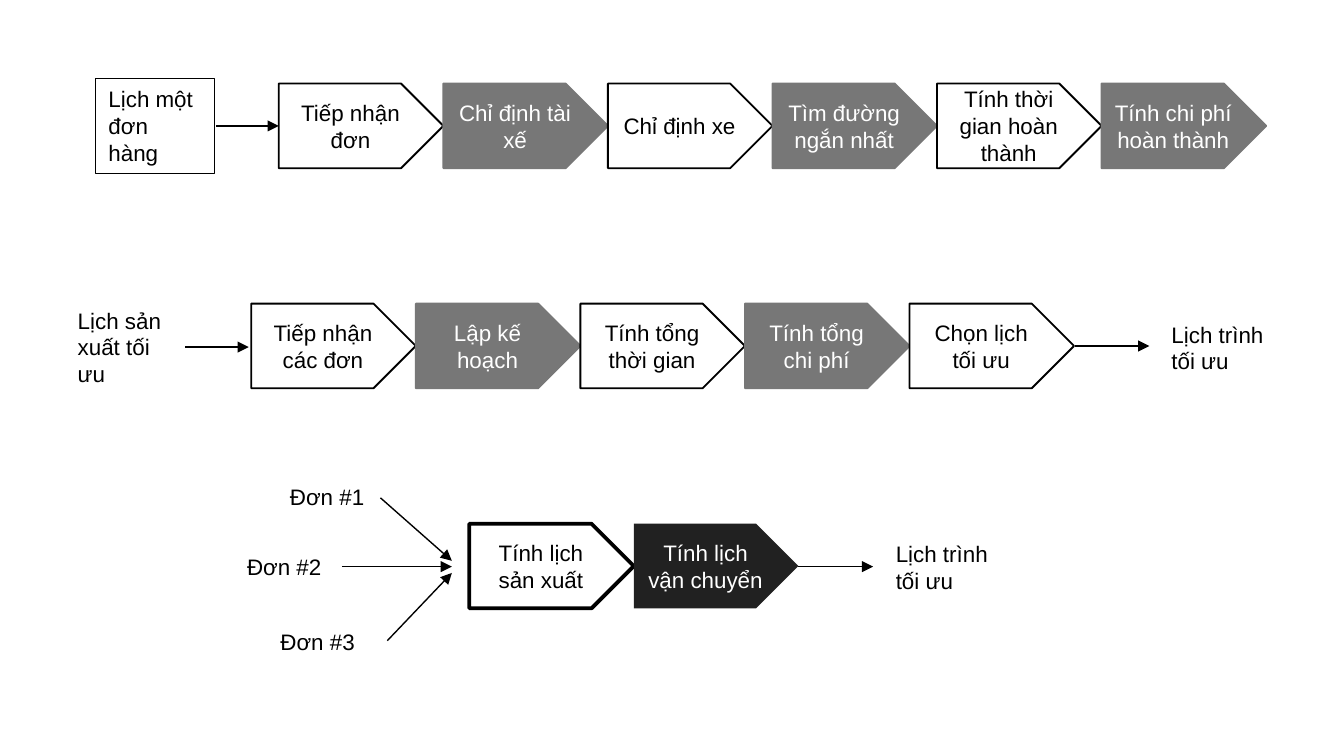
from dataclasses import dataclass

from lxml.etree import SubElement
from pptx import Presentation
from pptx.dml.color import RGBColor
from pptx.enum.shapes import MSO_CONNECTOR as Connector, MSO_SHAPE as Preset
from pptx.enum.text import MSO_ANCHOR as Anchor, PP_ALIGN as Align
from pptx.oxml.ns import qn
from pptx.util import Cm, Pt

BLACK, WHITE, GRAY, DARK = "000000", "FFFFFF", "777777", "212121"
STEP_WIDTH, STEP_HEIGHT = 3.11, 1.6
LABEL_WIDTH = 2.26


@dataclass(frozen=True)
class StepStyle:
    """Colours and outline weight of a process step."""
    fill: str
    text: str
    line: str | None
    weight: float = 1


@dataclass(frozen=True)
class Process:
    """A row of touching steps; styles alternate along it."""
    left: float
    top: float
    steps: tuple[str, ...]
    styles: tuple[StepStyle, StepStyle]


@dataclass(frozen=True)
class Label:
    """Text at an input or output of a process."""
    text: str
    left: float
    top: float
    width: float
    height: float
    framed: bool = False


@dataclass(frozen=True)
class Arrow:
    """A straight arrow between two points."""
    x1: float
    y1: float
    x2: float
    y2: float


LIGHT_STEP = StepStyle(WHITE, BLACK, BLACK)
GRAY_STEP = StepStyle(GRAY, WHITE, GRAY)
BOLD_STEP = StepStyle(WHITE, BLACK, BLACK, 2)
DARK_STEP = StepStyle(DARK, WHITE, None)

PROCESSES = (
    Process(5.27, 1.58, ("Tiếp nhận đơn", "Chỉ định tài xế", "Chỉ định xe",
                         "Tìm đường ngắn nhất", "Tính thời gian hoàn thành",
                         "Tính chi phí hoàn thành"), (LIGHT_STEP, GRAY_STEP)),
    Process(4.75, 5.74, ("Tiếp nhận các đơn", "Lập kế hoạch", "Tính tổng thời gian",
                         "Tính tổng chi phí", "Chọn lịch tối ưu"),
            (LIGHT_STEP, GRAY_STEP)),
    Process(8.87, 9.9, ("Tính lịch sản xuất", "Tính lịch vận chuyển"),
            (BOLD_STEP, DARK_STEP)),
)
LABELS = (
    Label("Lịch một đơn hàng", 1.8, 1.48, LABEL_WIDTH, 1.8, framed=True),
    Label("Lịch sản xuất tối ưu", 1.22, 5.66, LABEL_WIDTH, 1.8),
    Label("Lịch trình tối ưu", 21.89, 5.93, LABEL_WIDTH, 1.28),
    Label("Lịch trình tối ưu", 16.68, 10.08, LABEL_WIDTH, 1.28),
    Label("Đơn #1", 5.23, 9.0, 2.08, 0.78),
    Label("Đơn #2", 4.42, 10.32, 2.08, 0.78),
    Label("Đơn #3", 5.05, 11.73, 2.08, 0.78),
)
ARROWS = (
    Arrow(4.08, 2.38, 5.27, 2.38),
    Arrow(3.5, 6.56, 4.7, 6.56),
    Arrow(20.31, 6.54, 21.72, 6.54),
    Arrow(7.19, 9.41, 8.54, 10.6),
    Arrow(6.46, 10.71, 8.54, 10.71),
    Arrow(7.32, 12.11, 8.54, 10.83),
    Arrow(15.09, 10.71, 16.5, 10.71),
)


def rgb(color: str) -> RGBColor:
    """Turn a hex string into a colour."""
    return RGBColor.from_string(color)


def set_line(line, color: str | None, weight: float) -> None:
    """Give an outline its colour and weight, or hide it."""
    if color is None:
        line.fill.background()
    else:
        line.color.rgb = rgb(color)
        line.width = Pt(weight)


def write(frame, text: str, color: str, align: Align, side: float) -> None:
    """Fill a text frame with one vertically centred paragraph."""
    frame_format = {"word_wrap": True, "vertical_anchor": Anchor.MIDDLE,
                    "margin_left": Cm(side), "margin_right": Cm(side)}
    for key, value in frame_format.items():
        setattr(frame, key, value)
    paragraph = frame.paragraphs[0]
    paragraph.alignment = align
    run = paragraph.add_run()
    run.text = text
    for key, value in {"name": "Arial", "size": Pt(12)}.items():
        setattr(run.font, key, value)
    run.font.color.rgb = rgb(color)


def add_process(shapes, process: Process) -> None:
    """Draw the steps of a process from left to right."""
    for index, text in enumerate(process.steps):
        style = process.styles[index % 2]
        step = shapes.add_shape(
            Preset.PENTAGON, Cm(process.left + index * STEP_WIDTH), Cm(process.top),
            Cm(STEP_WIDTH), Cm(STEP_HEIGHT))
        step.shadow.inherit = False
        step.fill.solid()
        step.fill.fore_color.rgb = rgb(style.fill)
        set_line(step.line, style.line, style.weight)
        write(step.text_frame, text, style.text, Align.CENTER, 0.2)


def add_label(shapes, label: Label) -> None:
    """Draw a label, with a thin frame where it has one."""
    place = [Cm(v) for v in (label.left, label.top, label.width, label.height)]
    if label.framed:
        box = shapes.add_shape(Preset.RECTANGLE, *place)
        box.shadow.inherit = False
        box.fill.background()
        set_line(box.line, BLACK, 0.75)
    else:
        box = shapes.add_textbox(*place)
    write(box.text_frame, label.text, BLACK, Align.LEFT, 0.25)


def add_arrow(shapes, arrow: Arrow) -> None:
    """Draw a thin arrow with a triangular head."""
    ends = [Cm(v) for v in (arrow.x1, arrow.y1, arrow.x2, arrow.y2)]
    connector = shapes.add_connector(Connector.STRAIGHT, *ends)
    set_line(connector.line, BLACK, 0.75)
    SubElement(connector.line._get_or_add_ln(), qn("a:tailEnd"), type="triangle")
    SubElement(connector._element.spPr, qn("a:effectLst"))


def main() -> None:
    """Build the slide with its three scheduling processes."""
    deck = Presentation()
    deck.slide_width, deck.slide_height = Cm(25.4), Cm(14.29)
    shapes = deck.slides.add_slide(deck.slide_layouts[6]).shapes
    for draw, parts in ((add_process, PROCESSES), (add_label, LABELS),
                        (add_arrow, ARROWS)):
        for part in parts:
            draw(shapes, part)
    deck.save("out.pptx")


main()
